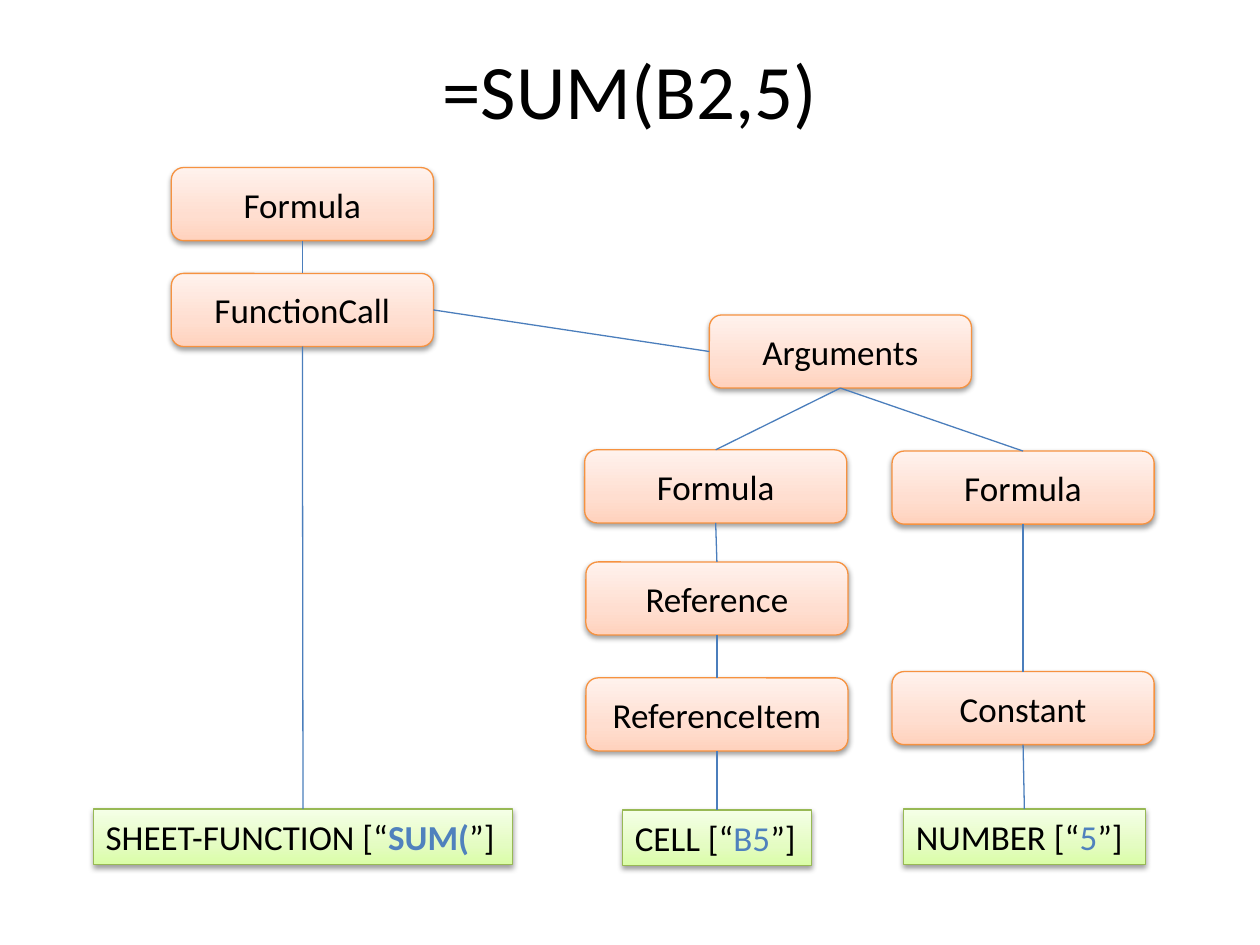
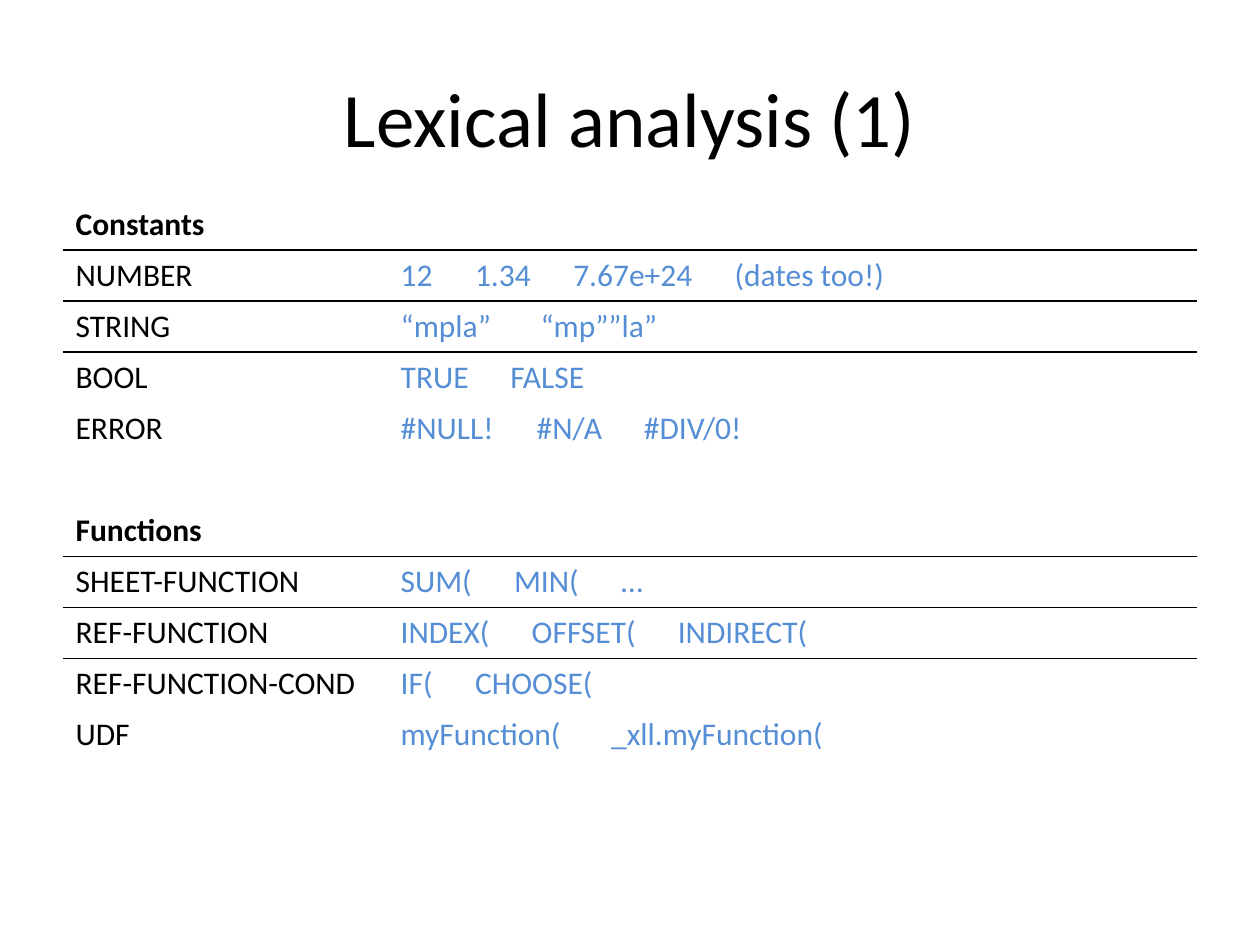
from lxml.etree import SubElement
from pptx import Presentation
from pptx.dml.color import RGBColor
from pptx.enum.shapes import MSO_CONNECTOR, MSO_SHAPE
from pptx.enum.text import MSO_ANCHOR, PP_ALIGN
from pptx.oxml import parse_xml
from pptx.oxml.ns import nsdecls, qn
from pptx.util import Inches, Pt

FONT = "Calibri"
BLACK, BLUE, LIGHT_BLUE, CONNECTOR = "000000", "4F81BD", "558ED5", "4B7EBC"
# line colour, then gradient stops from bottom to top
ORANGE = ("F69240", {0: "FFD2BD", 35: "FFDED0", 100: "FFF2ED"})
GREEN = ("98B955", {0: "DAFDA7", 35: "E4FCC2", 100: "F5FFE7"})
NO_TABLE_STYLE = "{2D5ABB26-0587-4C30-8999-92F81FD0307C}"
TOP, LEFT, BOTTOM, RIGHT = range(4)
NODE_W, NODE_H, TOKEN_H = 2.08, 0.58, 0.44


def rgb(color):
    return RGBColor.from_string(color)


def write(tf, text, size=20, color=BLACK, bold=False, align=PP_ALIGN.LEFT,
          anchor=MSO_ANCHOR.TOP):
    """Add a run to the first paragraph and return that paragraph."""
    tf.word_wrap = True
    tf.vertical_anchor = anchor
    p = tf.paragraphs[0]
    p.alignment = align
    r = p.add_run()
    r.text = text
    r.font.name, r.font.size, r.font.bold = FONT, Pt(size), bold
    r.font.color.rgb = rgb(color)
    return p


def set_tabs(p, stops):
    tabs = SubElement(p._p.get_or_add_pPr(), qn("a:tabLst"))
    for stop in stops:
        SubElement(tabs, qn("a:tab"), pos=str(Inches(stop)), algn="l")


def set_rule(cell, side):
    """Draw a black border on side 'T' or 'B' of the cell."""
    cell._tc.get_or_add_tcPr().insert(0, parse_xml(
        f'<a:ln{side} {nsdecls("a")} w="12700"><a:solidFill>'
        f'<a:srgbClr val="{BLACK}"/></a:solidFill></a:ln{side}>'))


class Deck:
    """Holds the presentation, its style and the current slide."""

    def __init__(self):
        self.prs = Presentation()
        self.prs.slide_width, self.prs.slide_height = Inches(10), Inches(7.5)
        self.s = None

    def new_slide(self, title, top):
        self.s = self.prs.slides.add_slide(self.prs.slide_layouts[6])
        box = self.s.shapes.add_textbox(Inches(0.5), Inches(top), Inches(9), Inches(1.25))
        write(box.text_frame, title, size=44, align=PP_ALIGN.CENTER,
              anchor=MSO_ANCHOR.MIDDLE)

    def box(self, kind, x, y, w, h, theme):
        """Add a shape with a gradient fill, a thin outline and a soft shadow."""
        line, stops = theme
        sp = self.s.shapes.add_shape(kind, Inches(x), Inches(y), Inches(w), Inches(h))
        spPr = sp._element.spPr
        gs = "".join(f'<a:gs pos="{pos * 1000}"><a:srgbClr val="{color}"/></a:gs>'
                     for pos, color in stops.items())
        spPr.append(parse_xml(
            f'<a:gradFill {nsdecls("a")} rotWithShape="1"><a:gsLst>{gs}</a:gsLst>'
            '<a:lin ang="16200000" scaled="0"/></a:gradFill>'))
        sp.line.color.rgb = rgb(line)
        sp.line.width = Pt(0.75)
        sp.shadow.inherit = False
        spPr.find(qn("a:effectLst")).append(parse_xml(
            f'<a:outerShdw {nsdecls("a")} blurRad="40000" dist="20000" dir="5400000" '
            f'rotWithShape="0"><a:srgbClr val="{BLACK}"><a:alpha val="38000"/>'
            '</a:srgbClr></a:outerShdw>'))
        return sp

    def node(self, text, x, y):
        sp = self.box(MSO_SHAPE.ROUNDED_RECTANGLE, x, y, NODE_W, NODE_H, ORANGE)
        write(sp.text_frame, text, align=PP_ALIGN.CENTER, anchor=MSO_ANCHOR.MIDDLE)
        return sp

    def token(self, name, value, x, y, w, bold=False):
        sp = self.box(MSO_SHAPE.RECTANGLE, x, y, w, TOKEN_H, GREEN)
        write(sp.text_frame, f"{name} [“")
        write(sp.text_frame, value, color=BLUE, bold=bold)
        write(sp.text_frame, "”]")
        return sp

    def connect(self, start, end, start_side=BOTTOM, end_side=TOP):
        c = self.s.shapes.add_connector(MSO_CONNECTOR.STRAIGHT, 0, 0, 0, 0)
        c.begin_connect(start, start_side)
        c.end_connect(end, end_side)
        c.line.color.rgb = rgb(CONNECTOR)
        c.line.width = Pt(0.75)
        SubElement(c._element.spPr, qn("a:effectLst"))

    def table(self, rows, x, y, widths, height):
        """Rows are (name, examples, tab stops); a row without examples is a heading."""
        frame = self.s.shapes.add_table(len(rows), len(widths), Inches(x), Inches(y),
                                        Inches(sum(widths)), Inches(height))
        table = frame.table
        table.first_row = table.horz_banding = False
        table._tbl.tblPr.find(qn("a:tableStyleId")).text = NO_TABLE_STYLE
        for column, width in zip(table.columns, widths):
            column.width = Inches(width)
        headings = [i for i, (name, examples, _) in enumerate(rows) if name and not examples]
        ruled = {i + step for i in headings for step in (0, 1)}
        for i, (name, examples, stops) in enumerate(rows):
            name_cell, example_cell = table.rows[i].cells
            if name:
                write(name_cell.text_frame, name, size=18, bold=i in headings)
            if examples:
                p = write(example_cell.text_frame, "\t".join(examples), size=18,
                          color=LIGHT_BLUE)
                set_tabs(p, stops)
            for cell in (name_cell, example_cell):
                cell.fill.background()
                if i in ruled:
                    set_rule(cell, "B")
                if i - 1 in ruled:
                    set_rule(cell, "T")


def build_parse_tree(deck):
    deck.new_slide("=SUM(B2,5)", 0.08)
    function_token = deck.token("SHEET-FUNCTION", "SUM(", 0.74, 6.42, 3.33, bold=True)
    cell_token = deck.token("CELL", "B5", 4.94, 6.43, 1.5)
    number_token = deck.token("NUMBER", "5", 7.17, 6.42, 1.92)
    root = deck.node("Formula", 1.36, 1.33)
    call = deck.node("FunctionCall", 1.36, 2.17)
    arguments = deck.node("Arguments", 5.63, 2.5)
    cell_branch = [deck.node("Formula", 4.64, 3.57), deck.node("Reference", 4.65, 4.46),
                   deck.node("ReferenceItem", 4.65, 5.38), cell_token]
    number_branch = [deck.node("Formula", 7.08, 3.58), deck.node("Constant", 7.08, 5.33),
                     number_token]

    deck.connect(call, arguments, RIGHT, LEFT)
    for chain in ([root, call, function_token], [arguments, *cell_branch],
                  [arguments, *number_branch]):
        for parent, child in zip(chain, chain[1:]):
            deck.connect(parent, child)


def build_token_table(deck):
    deck.new_slide("Lexical analysis (1)", 0.3)
    rows = [
        ("Constants", [], []),
        ("NUMBER", ["12", "1.34", "7.67e+24", "(dates too!)"], [0.59, 1.37, 2.65]),
        ("STRING", ["“mpla”", "“mp””la”"], [1.11]),
        ("BOOL", ["TRUE", "FALSE"], [0.87]),
        ("ERROR", ["#NULL!", "#N/A", "#DIV/0!"], [1.08, 1.93]),
        ("", [], []),
        ("Functions", [], []),
        ("SHEET-FUNCTION", ["SUM(", "MIN(", "…"], [0.9, 1.75]),
        ("REF-FUNCTION", ["INDEX(", "OFFSET(", "INDIRECT("], [1.04, 2.2]),
        ("REF-FUNCTION-COND", ["IF(", "CHOOSE("], [0.59]),
        ("UDF", ["myFunction(", "_xll.myFunction("], [1.67]),
    ]
    deck.table(rows, 0.5, 1.58, [2.58, 6.42], 4.46)


def main():
    deck = Deck()
    build_parse_tree(deck)
    build_token_table(deck)
    deck.prs.save("out.pptx")


if __name__ == "__main__":
    main()
